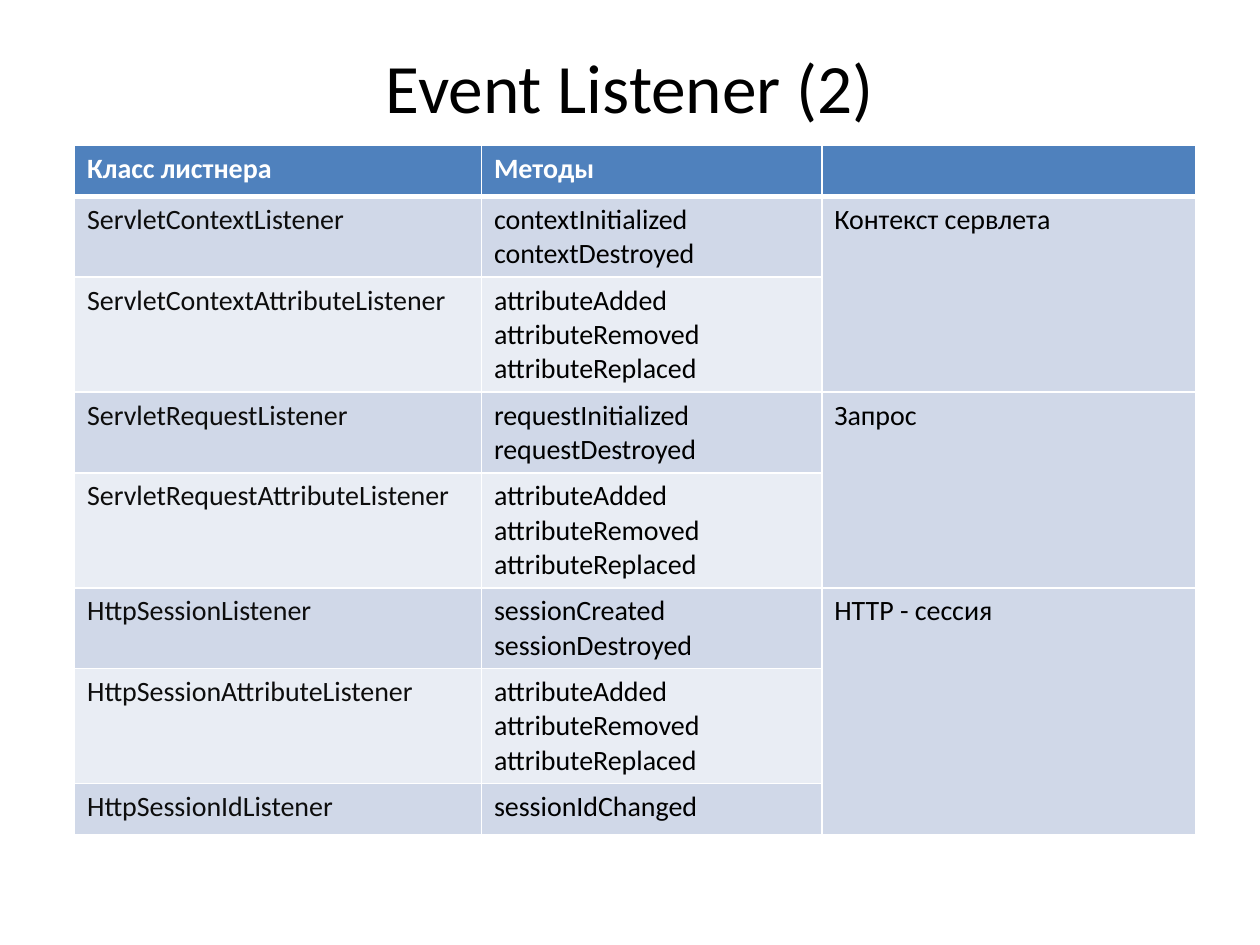
import lxml.etree
import pptx
import pptx.dml.color
import pptx.enum.text
import pptx.oxml.ns
import pptx.util

Pt = pptx.util.Pt
qn = pptx.oxml.ns.qn
COLORS = {"header": "4F81BD", "odd": "D0D8E8", "even": "E9EDF4", "border": "FFFFFF",
          "white": "FFFFFF", "black": "000000", "name": "0D0D0D"}


def write(tf, lines, color, **fmt):
    """Put one paragraph per line into the text frame."""
    for i, line in enumerate(lines):
        p = tf.paragraphs[0] if i == 0 else tf.add_paragraph()
        r = p.add_run()
        r.text = line
        r.font.color.rgb = pptx.dml.color.RGBColor.from_string(COLORS[color])
        for key, value in {"name": "Calibri", "size": Pt(16), "bold": False, **fmt}.items():
            setattr(r.font, key, value)


def style_cell(cell, fill, bottom_width):
    """Set borders, then the fill, which must follow them in the XML."""
    tc_pr = cell._tc.get_or_add_tcPr()
    for side, width in {"L": 1, "R": 1, "T": 1, "B": bottom_width}.items():
        ln = lxml.etree.SubElement(tc_pr, qn(f"a:ln{side}"), w=str(Pt(width)))
        solid = lxml.etree.SubElement(ln, qn("a:solidFill"))
        lxml.etree.SubElement(solid, qn("a:srgbClr"), val=COLORS["border"])
    cell.fill.solid()
    cell.fill.fore_color.rgb = pptx.dml.color.RGBColor.from_string(COLORS[fill])


prs = pptx.Presentation()
prs.slide_width, prs.slide_height = Pt(720), Pt(540)
s = prs.slides.add_slide(prs.slide_layouts[6])

# Title
sp = s.shapes.add_textbox(Pt(36), Pt(21.6), Pt(648), Pt(55.4))
tf = sp.text_frame
tf.word_wrap = True
tf.vertical_anchor = pptx.enum.text.MSO_ANCHOR.MIDDLE
write(tf, ["Event Listener (2)"], "black", size=Pt(39.6))
tf.paragraphs[0].alignment = pptx.enum.text.PP_ALIGN.CENTER

# Listener classes, their methods, and the scope shared by a group of rows
attribute_methods = ["attributeAdded", "attributeRemoved", "attributeReplaced"]
listeners = [
    ("ServletContextListener", ["contextInitialized", "contextDestroyed"]),
    ("ServletContextAttributeListener", attribute_methods),
    ("ServletRequestListener", ["requestInitialized", "requestDestroyed"]),
    ("ServletRequestAttributeListener", attribute_methods),
    ("HttpSessionListener", ["sessionCreated", "sessionDestroyed"]),
    ("HttpSessionAttributeListener", attribute_methods),
    ("HttpSessionIdListener", ["sessionIdChanged"]),
]
scopes = [("Контекст сервлета", 1, 2), ("Запрос", 3, 4), ("HTTP - cессия", 5, 7)]
col_widths = [232.5, 194.5, 213.5]
row_heights = [29.2] + [max(29.2, 7.2 + 19.5 * len(methods)) for _, methods in listeners]

table = s.shapes.add_table(len(row_heights), len(col_widths), Pt(42.6), Pt(83),
                           Pt(sum(col_widths)), Pt(sum(row_heights))).table
for col, width in zip(table.columns, col_widths):
    col.width = Pt(width)
for row, height in zip(table.rows, row_heights):
    row.height = Pt(height)

for col, heading in enumerate(["Класс листнера", "Методы"]):
    write(table.cell(0, col).text_frame, [heading], "white", bold=True)
for row, (name, methods) in enumerate(listeners, start=1):
    write(table.cell(row, 0).text_frame, [name], "name")
    write(table.cell(row, 1).text_frame, methods, "black")
for scope, first, last in scopes:
    table.cell(first, 2).merge(table.cell(last, 2))
    write(table.cell(first, 2).text_frame, [scope], "black")

for row in range(len(row_heights)):
    for col in range(len(col_widths)):
        fill = "header" if row == 0 else "odd" if row % 2 or col == 2 else "even"
        style_cell(table.cell(row, col), fill, 3 if row == 0 else 1)

prs.save("out.pptx")
